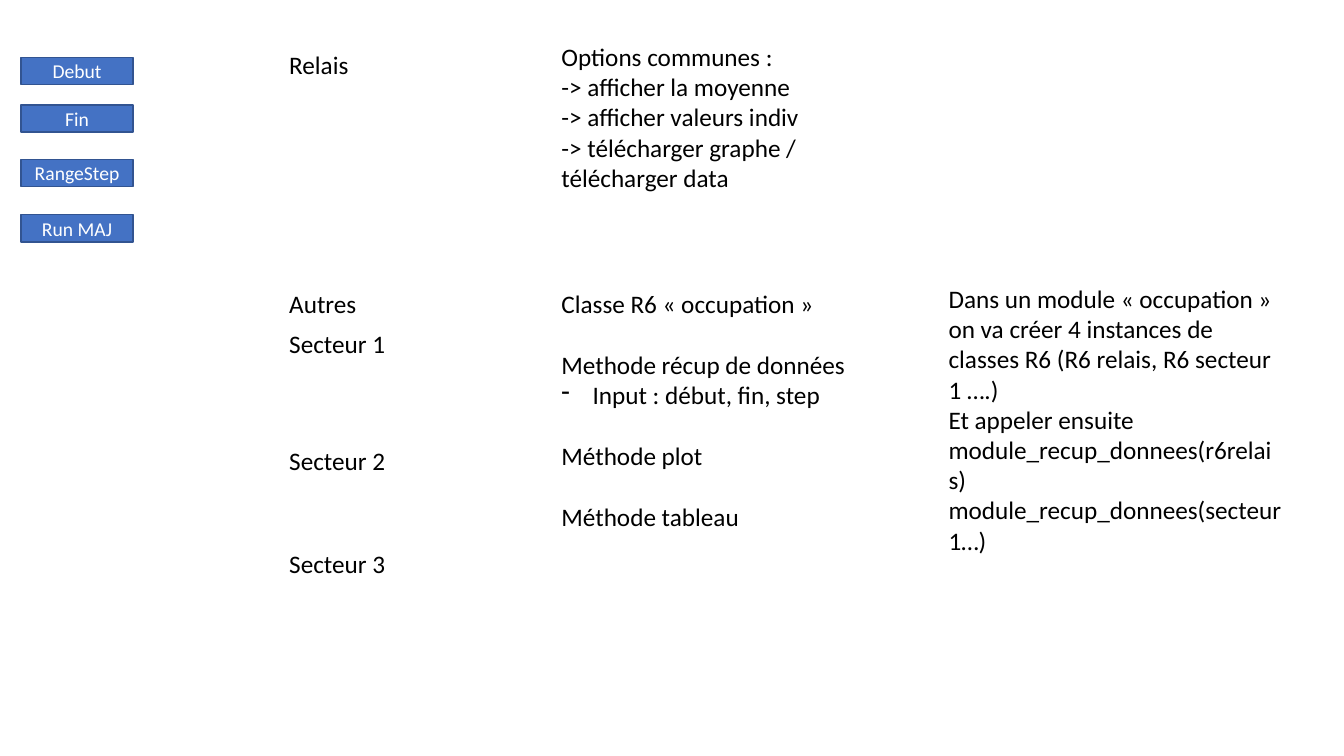
from lxml import etree
from pptx import Presentation
from pptx.dml.color import RGBColor
from pptx.enum.shapes import MSO_SHAPE
from pptx.enum.text import MSO_ANCHOR, MSO_AUTO_SIZE, PP_ALIGN
from pptx.oxml.ns import qn
from pptx.util import Pt

RECTANGLE = MSO_SHAPE.RECTANGLE
MIDDLE = MSO_ANCHOR.MIDDLE
GROW = MSO_AUTO_SIZE.SHAPE_TO_FIT_TEXT
CENTER = PP_ALIGN.CENTER

PX = 9144
COLORS = {"button": "4472C4", "border": "325491", "label": "FFFFFF", "text": "000000"}
BUTTON_FONT = {"name": "Calibri", "size": Pt(14)}
NOTE_FONT = {"name": "Calibri", "size": Pt(18)}
LINE_GAP = Pt(22)
DASH_INDENT = 31

BUTTONS = [("Debut", 0), ("Fin", 47), ("RangeStep", 101), ("Run MAJ", 156)]
SECTORS = [("Relais", 0), ("Autres", 237), ("Secteur 1", 277), ("Secteur 2", 393), ("Secteur 3", 495)]
OPTIONS = [
    ("Options communes :", ""),
    ("-> afficher la moyenne", ""),
    ("-> afficher valeurs indiv", ""),
    ("-> télécharger graphe / télécharger data", ""),
]
METHODS = [
    ("Classe R6 « occupation »", ""),
    ("Methode récup de données", "gap"),
    ("Input : début, fin, step", "dash"),
    ("Méthode plot", "gap"),
    ("Méthode tableau", "gap"),
]
MODULE = [
    ("Dans un module « occupation » on va créer 4 instances de classes R6 "
     "(R6 relais, R6 secteur 1 ….)", ""),
    ("Et appeler ensuite module_recup_donnees(r6relais)", ""),
    ("module_recup_donnees(secteur1…)", ""),
]


def rgb(name):
    """Return the named colour."""
    return RGBColor.from_string(COLORS[name])


def write(paragraph, wording, font_format, color):
    """Add one formatted run to a paragraph."""
    run = paragraph.add_run()
    run.text = wording
    for key, value in font_format.items():
        setattr(run.font, key, value)
    run.font.color.rgb = rgb(color)


def add_dash(paragraph):
    """Give a paragraph a hanging dash bullet."""
    properties = paragraph._p.get_or_add_pPr()
    properties.set("marL", str(DASH_INDENT * PX))
    properties.set("indent", str(-DASH_INDENT * PX))
    etree.SubElement(properties, qn("a:buFontTx"))
    etree.SubElement(properties, qn("a:buChar")).set("char", "-")


def add_note(slide, left, top, width, height, lines):
    """Place a text box holding lines of wording and style."""
    box = slide.shapes.add_textbox(*(n * PX for n in (left, top, width, height)))
    frame = box.text_frame
    for key, value in {"word_wrap": True, "auto_size": GROW}.items():
        setattr(frame, key, value)
    for index, (wording, style) in enumerate(lines):
        paragraph = frame.add_paragraph() if index else frame.paragraphs[0]
        if style == "dash":
            add_dash(paragraph)
        elif style == "gap":
            paragraph.space_before = LINE_GAP
        write(paragraph, wording, NOTE_FONT, "text")


def add_buttons(slide, left, top, width, height):
    """Place the column of control buttons."""
    for label, offset in BUTTONS:
        button = slide.shapes.add_shape(
            RECTANGLE, *(n * PX for n in (left, top + offset, width, height)))
        button.shadow.inherit = False
        button.fill.solid()
        button.fill.fore_color.rgb = rgb("button")
        button.line.color.rgb = rgb("border")
        button.line.width = Pt(1)
        button.text_frame.vertical_anchor = MIDDLE
        paragraph = button.text_frame.paragraphs[0]
        paragraph.alignment = CENTER
        write(paragraph, label, BUTTON_FONT, "label")


def add_sectors(slide, left, top, width, height):
    """Place the column of sector names."""
    for sector, offset in SECTORS:
        add_note(slide, left, top + offset, width, height, [(sector, "")])


def main():
    """Build and save the slide."""
    deck = Presentation()
    deck.slide_width, deck.slide_height = 1333 * PX, 750 * PX
    slide = deck.slides.add_slide(deck.slide_layouts[6])
    add_buttons(slide, 21, 57, 111, 27)
    add_sectors(slide, 277, 44, 198, 40)
    add_note(slide, 547, 36, 350, 162, OPTIONS)
    add_note(slide, 547, 281, 350, 283, METHODS)
    add_note(slide, 931, 276, 350, 283, MODULE)
    deck.save("out.pptx")


if __name__ == "__main__":
    main()
